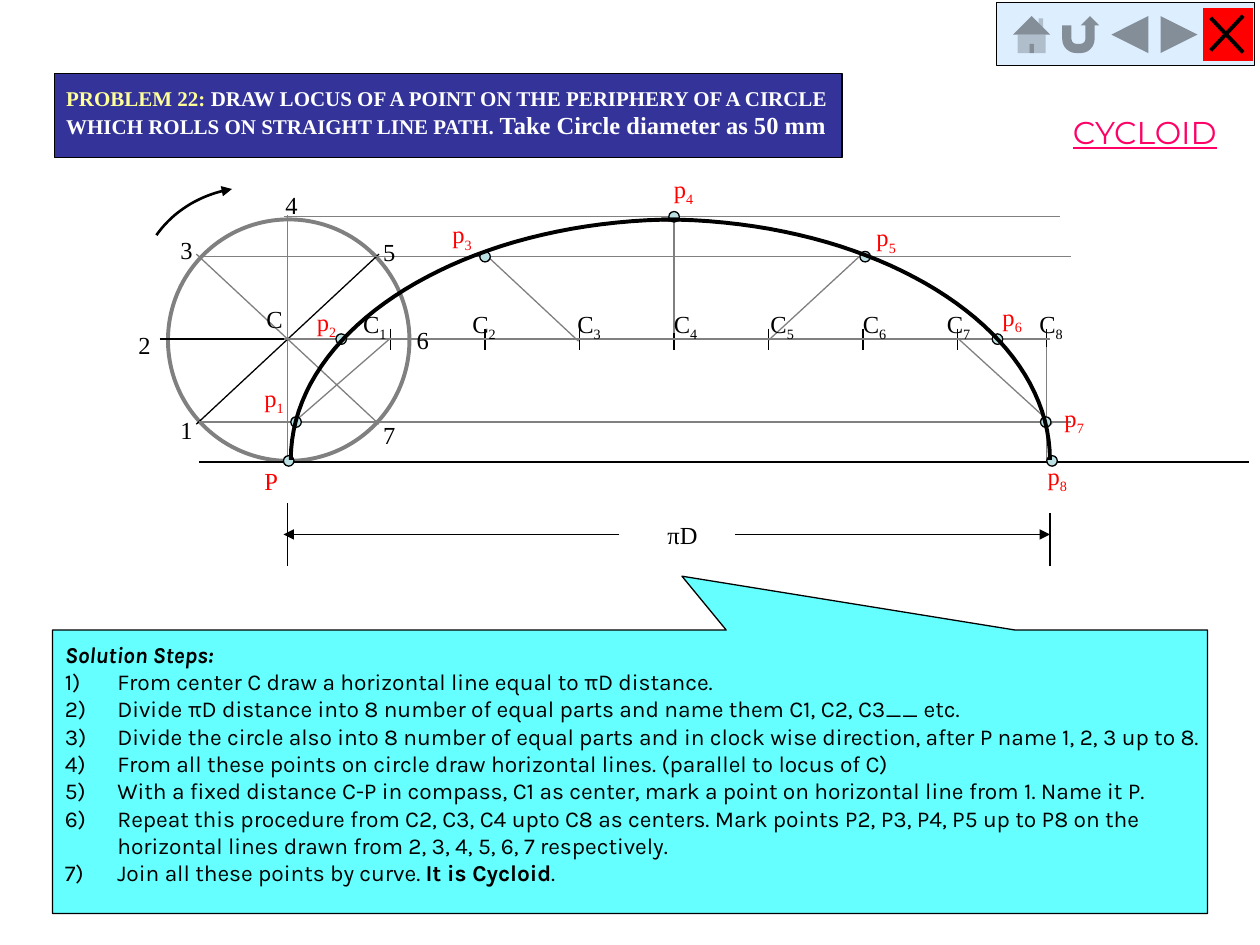
from lxml.etree import SubElement
from pptx import Presentation
from pptx.dml.color import RGBColor
from pptx.enum.shapes import MSO_CONNECTOR, MSO_SHAPE
from pptx.enum.text import MSO_ANCHOR, MSO_AUTO_SIZE, PP_ALIGN
from pptx.oxml.ns import qn
from pptx.util import Inches, Pt

BLACK = RGBColor(0x00, 0x00, 0x00)
WHITE = RGBColor(0xFF, 0xFF, 0xFF)
GRAY = RGBColor(0x80, 0x80, 0x80)
RED = RGBColor(0xFF, 0x00, 0x00)
PINK = RGBColor(0xFF, 0x00, 0x66)
NAVY = RGBColor(0x33, 0x33, 0x99)
YELLOW = RGBColor(0xFF, 0xFF, 0x99)
CYAN = RGBColor(0x66, 0xFF, 0xFF)
DOT_BLUE = RGBColor(0xBB, 0xE0, 0xE3)
BUTTON_BLUE = RGBColor(0xDD, 0xEE, 0xFF)
SERIF, SANS, HEADING = "Times New Roman", "Karla", "Montserrat"

deck = Presentation()
deck.slide_width, deck.slide_height = Inches(10), Inches(7.5)
page = deck.slides.add_slide(deck.slide_layouts[5])
CELL = deck.slide_width / 120


def grid(*cells):
    """Turn columns and rows (120 by 90 on the slide) into lengths."""
    return [round(cell * CELL) for cell in cells]


def add_run(para, text, font, size, color, bold=False):
    span = para.add_run()
    span.text = text
    span.font.name, span.font.size, span.font.bold = font, Pt(size), bold
    span.font.color.rgb = color
    return span


# Problem statement
title = page.shapes.title
title.left, title.top, title.width, title.height = grid(5.2, 7, 75, 8)
title.fill.solid()
title.fill.fore_color.rgb = NAVY
title.line.color.rgb = BLACK
title.line.width = Pt(0.75)
frame = title.text_frame
frame.auto_size = MSO_AUTO_SIZE.NONE
frame.vertical_anchor = MSO_ANCHOR.TOP
frame.margin_left, frame.margin_top, frame.margin_right = grid(1.1, 1.1, 0)
first, second = frame.paragraphs[0], frame.add_paragraph()
first.alignment = second.alignment = PP_ALIGN.LEFT
add_run(first, "PROBLEM 22: ", SERIF, 12, YELLOW, True)
add_run(first, "DRAW LOCUS OF A POINT ON THE PERIPHERY OF A CIRCLE", SERIF, 12, WHITE, True)
add_run(second, "WHICH ROLLS ON STRAIGHT LINE PATH. ", SERIF, 12, WHITE, True)
add_run(second, "Take Circle diameter as 50 mm", SERIF, 14, WHITE, True)

# Filled shapes: kind, place, fill, line colour, line width
TOP, UPPER, MIDDLE, LOWER, GROUND = 20.65, 24.45, 32.3, 40.2, 44
dots = [(27.5, 43.9), (28.2, LOWER), (32.5, MIDDLE), (46.2, UPPER), (64.2, TOP),
        (82.4, UPPER), (95, MIDDLE), (99.6, LOWER), (100.2, 43.9)]
buttons = [MSO_SHAPE.ACTION_BUTTON_HOME, MSO_SHAPE.ACTION_BUTTON_RETURN,
           MSO_SHAPE.ACTION_BUTTON_BACK_OR_PREVIOUS,
           MSO_SHAPE.ACTION_BUTTON_FORWARD_OR_NEXT, MSO_SHAPE.ACTION_BUTTON_CUSTOM]
filled = [(MSO_SHAPE.OVAL, (16, 20.9, 23, 23), WHITE, GRAY, 2.25),
          (MSO_SHAPE.ACTION_BUTTON_CUSTOM, (94.9, 0.2, 24.6, 6), BUTTON_BLUE, BLACK, 0.5)]
for number, kind in enumerate(buttons):
    fill = RED if kind == MSO_SHAPE.ACTION_BUTTON_CUSTOM else BUTTON_BLUE
    filled.append((kind, (95.9 + 4.68 * number, 0.8, 4.7, 5), fill, None, 0))
for kind, place, fill, color, width in filled:
    shape = page.shapes.add_shape(kind, *grid(*place))
    shape.shadow.inherit = False
    shape.fill.solid()
    shape.fill.fore_color.rgb = fill
    if color is None:
        shape.line.fill.background()
    else:
        shape.line.color.rgb = color
        shape.line.width = Pt(width)

# Straight lines: start, end, colour, width, arrowhead
ticks = [37.2 + 9 * step for step in range(7)] + [99.7]
lines = [(19, GROUND, 119, GROUND, BLACK, 0.75, False),
         (27.4, 20.5, 27.4, 44.2, GRAY, 0.75, False),
         (15.2, MIDDLE, 38.9, MIDDLE, BLACK, 0.75, False),
         (18.7, 24.2, 36.1, 40.4, GRAY, 0.75, False),
         (36.1, 24.2, 18.7, 40.4, BLACK, 0.75, False)]
lines += [(x, 31.3, x, 33.3, BLACK, 0.75, False) for x in ticks]
lines += [(left, y, right, y, GRAY, 0.75, False) for left, right, y in
          [(27, 100, MIDDLE), (19, 102, LOWER), (19, 102, UPPER), (27, 101, TOP)]]
lines += [(*ends, GRAY, 0.75, False) for ends in
          [(37.2, 32.2, 28, 40.2), (55.1, 32.5, 46.2, 24.2), (73.2, 32.4, 82.2, 24.1),
           (91.2, 32.2, 100.2, 40.4), (64.2, TOP, 64.2, 31.7), (99.7, 33, 99.7, 44)]]
lines += [(27.4, 47.9, 27.4, 53.9, BLACK, 0.75, False),
          (100, 48.9, 100, 53.9, BLACK, 0.75, False),
          (59, 50.9, 27, 50.9, BLACK, 0.75, True),
          (70, 50.9, 100, 50.9, BLACK, 0.75, True),
          (115.3, 1.7, 118.4, 5, BLACK, 2.25, False),
          (118.4, 1.5, 115.3, 4.8, BLACK, 2.25, False)]
for x1, y1, x2, y2, color, width, arrow in lines:
    line = page.shapes.add_connector(MSO_CONNECTOR.STRAIGHT, *grid(x1, y1, x2, y2))
    line.line.color.rgb = color
    line.line.width = Pt(width)
    if arrow:
        SubElement(line.line._get_or_add_ln(), qn("a:tailEnd"), type="triangle")
    SubElement(line._element.spPr, qn("a:effectLst"))

# Points of the locus
for x, y in dots:
    dot = page.shapes.add_shape(MSO_SHAPE.OVAL, *grid(x - 0.5, y - 0.5, 1, 1))
    dot.shadow.inherit = False
    dot.fill.solid()
    dot.fill.fore_color.rgb = DOT_BLUE
    dot.line.color.rgb = BLACK
    dot.line.width = Pt(0.75)

# Rolling arrow and the two halves of the cycloid, as cubic curves
curves = [([(14.9, 22.4), (16.6, 20), (19.2, 18.5), (22.1, 18)], 1.5, True),
          ([(64.7, 20.9), (44.3, 20.9), (27.7, 31.1), (27.7, 43.8)], 2.25, False),
          ([(63, 20.9), (83.4, 20.9), (100, 31.1), (100, 43.8)], 2.25, False)]
STEPS = 40
for controls, width, arrow in curves:
    points = []
    for step in range(STEPS + 1):
        t = step / STEPS
        weights = [(1 - t) ** 3, 3 * t * (1 - t) ** 2, 3 * t * t * (1 - t), t ** 3]
        points.append(grid(*(sum(w * value for w, value in zip(weights, axis))
                             for axis in zip(*controls))))
    builder = page.shapes.build_freeform(*points[0])
    builder.add_line_segments(points[1:], close=False)
    curve = builder.convert_to_shape()
    curve.shadow.inherit = False
    curve.fill.background()
    curve.line.color.rgb = BLACK
    curve.line.width = Pt(width)
    if arrow:
        SubElement(curve.line._get_or_add_ln(), qn("a:tailEnd"), type="triangle")

# Labels: letter, subscript, left, top, colour
labels = [("P", "", 24, 43.8, RED), ("C", "", 24.2, 28.4, BLACK)]
point_places = [(24, 35.9), (29, 28.6), (41.9, 20.3), (63, 16),
                (82.3, 20.6), (94.3, 28.2), (100.2, 37.8), (98.6, 43.3)]
labels += [("p", str(n), x, y, RED) for n, (x, y) in enumerate(point_places, 1)]
center_lefts = [33.4, 43.8, 53.8, 63, 72.2, 81, 89, 97.8]
labels += [("C", str(n), x, 28.8, BLACK) for n, x in enumerate(center_lefts, 1)]
circle_places = [(16, 38.9), (12, 30.8), (16, 21.8), (26, 17.5),
                 (35.3, 22), (38.5, 30.4), (35.3, 39.4)]
labels += [(str(n), "", x, y, BLACK) for n, (x, y) in enumerate(circle_places, 1)]
for letter, subscript, left, top, color in labels:
    box = page.shapes.add_textbox(*grid(left, top, 5 if subscript else 4, 4))
    box.text_frame.word_wrap = True
    para = box.text_frame.paragraphs[0]
    add_run(para, letter, SERIF, 14, color)
    if subscript:
        span = add_run(para, subscript, SERIF, 14, color)
        span._r.get_or_add_rPr().set("baseline", "-25000")

box = page.shapes.add_textbox(*grid(60, 48.9, 10, 4))
box.text_frame.word_wrap = True
box.text_frame.paragraphs[0].alignment = PP_ALIGN.CENTER
add_run(box.text_frame.paragraphs[0], "πD", SERIF, 14, BLACK)

box = page.shapes.add_textbox(*grid(101, 10.2, 18, 4.8))
box.text_frame.word_wrap = True
add_run(box.text_frame.paragraphs[0], "CYCLOID", HEADING, 18, PINK).font.underline = True

# Solution steps
callout = page.shapes.add_shape(MSO_SHAPE.RECTANGULAR_CALLOUT, *grid(5, 60, 110, 27))
callout.adjustments[0], callout.adjustments[1] = 0.045, -0.69
callout.shadow.inherit = False
callout.fill.solid()
callout.fill.fore_color.rgb = CYAN
callout.line.color.rgb = BLACK
callout.line.width = Pt(0.75)
frame = callout.text_frame
frame.word_wrap = True
frame.vertical_anchor = MSO_ANCHOR.TOP
frame.margin_top, frame.margin_right = grid(1, 0)
para = frame.paragraphs[0]
para.alignment = PP_ALIGN.LEFT
add_run(para, "Solution Steps:", SANS, 13, BLACK, True).font.italic = True
steps = [
    ["From center C draw a horizontal line equal to πD distance."],
    ["Divide πD distance into 8 number of equal parts and name them C1, C2, C3__ etc."],
    ["Divide the circle also into 8 number of equal parts and in clock wise direction, after P name 1, 2, 3 up to 8."],
    ["From all these points on circle draw horizontal lines. (parallel to locus of C)"],
    ["With a fixed distance C-P in compass, C1 as center, mark a point on horizontal line from 1. Name it P."],
    ["Repeat this procedure from C2, C3, C4 upto C8 as centers. Mark points P2, P3, P4, P5 up to P8 on the "
     "horizontal lines drawn from 2, 3, 4, 5, 6, 7 respectively."],
    ["Join all these points by curve. ", "It is Cycloid", "."],
]
indent = grid(5)[0]
for step in steps:
    para = frame.add_paragraph()
    para.alignment = PP_ALIGN.LEFT
    properties = para._p.get_or_add_pPr()
    properties.set("marL", str(indent))
    properties.set("indent", str(-indent))
    SubElement(properties, qn("a:buAutoNum"), type="arabicParenR")
    for text in step:
        add_run(para, text, SANS, 13, BLACK, text == "It is Cycloid")

deck.save("out.pptx")
